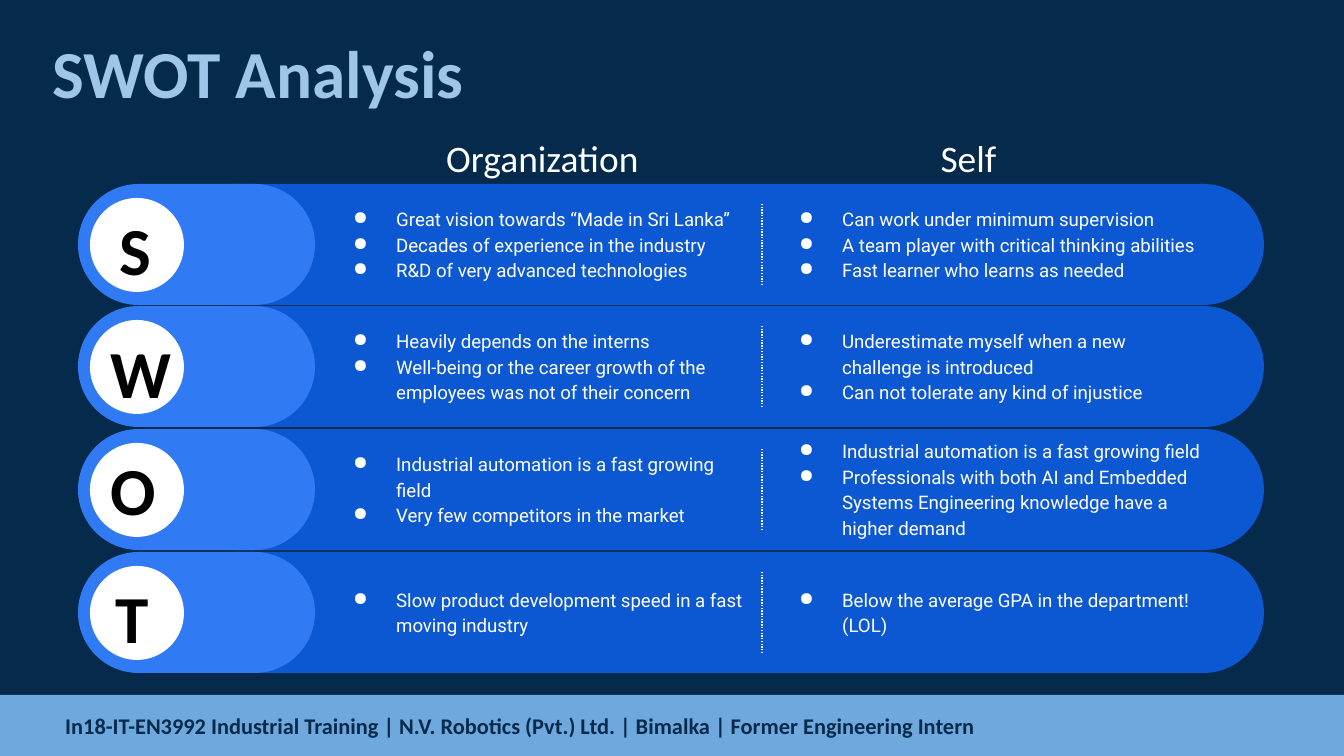
from dataclasses import dataclass

import pptx
import pptx.dml.color
import pptx.enum.dml
import pptx.enum.shapes
import pptx.enum.text
import pptx.oxml.ns
import pptx.util
from lxml import etree

WIDE, HIGH = 1344, 756
SCALE = 9144000 / WIDE  # EMU in one px
ROW_TOP, ROW_HIGH, PITCH = 184, 121, 122.5
SPLIT = 762  # x of the line between the two columns
KIND = pptx.enum.shapes.MSO_SHAPE
ALIGN = pptx.enum.text.PP_ALIGN
ANCHOR = pptx.enum.text.MSO_ANCHOR


@dataclass
class Box:
    left: int
    top: int
    wide: int
    high: int

    def emu(self) -> list[int]:
        return [px(n) for n in (self.left, self.top, self.wide, self.high)]


@dataclass
class Row:
    mark: str
    spot: Box  # place of the letter
    firm: list[str]
    own: list[str]
    wide: int  # width of the right column


ROWS = [
    Row("S", Box(106, 195, 66, 98),
        ["Great vision towards “Made in Sri Lanka”",
         "Decades of experience in the industry",
         "R&D of very advanced technologies"],
        ["Can work under minimum supervision",
         "A team player with critical thinking abilities",
         "Fast learner who learns as needed"], 493),
    Row("W", Box(97, 318, 86, 98),
        ["Heavily depends on the interns",
         "Well-being or the career growth of the employees was not of their concern"],
        ["Underestimate myself when a new challenge is introduced",
         "Can not tolerate any kind of injustice"], 449),
    Row("O", Box(97, 435, 86, 98),
        ["Industrial automation is a fast growing field",
         "Very few competitors in the market"],
        ["Industrial automation is a fast growing field",
         "Professionals with both AI and Embedded Systems Engineering "
         "knowledge have a higher demand"], 465),
    Row("T", Box(102, 563, 75, 94),
        ["Slow product development speed in a fast moving industry"],
        ["Below the average GPA in the department! (LOL)"], 449),
]


def px(n: float) -> int:
    return round(n * SCALE)


def paint(code: str) -> pptx.dml.color.RGBColor:
    return pptx.dml.color.RGBColor.from_string(code)


def add_shape(shapes, kind, box: Box, fill: str):
    shape = shapes.add_shape(kind, *box.emu())
    shape.shadow.inherit = False
    shape.fill.solid()
    shape.fill.fore_color.rgb = paint(fill)
    shape.line.fill.background()
    return shape


def add_pill(shapes, box: Box, fill: str) -> None:
    add_shape(shapes, KIND.ROUNDED_RECTANGLE, box, fill).adjustments[0] = 0.5


def add_bullet(para, color: str) -> None:
    props = para._p.get_or_add_pPr()
    props.set("marL", str(px(67)))
    props.set("indent", str(px(-43)))
    tint = etree.SubElement(props, pptx.oxml.ns.qn("a:buClr"))
    etree.SubElement(tint, pptx.oxml.ns.qn("a:srgbClr"), val=color)
    etree.SubElement(props, pptx.oxml.ns.qn("a:buChar"), char="●")


def add_text(shapes, box: Box, lines: list[str], *, size: int, color: str,
             font: str = "Calibri", bold: bool = False, inset: float = 0.1,
             align=ALIGN.LEFT, anchor=ANCHOR.TOP, bullet: bool = False) -> None:
    frame = shapes.add_textbox(*box.emu()).text_frame
    frame.word_wrap = True
    frame.vertical_anchor = anchor
    frame.margin_left = frame.margin_right = pptx.util.Inches(inset)
    frame.margin_top = frame.margin_bottom = pptx.util.Inches(inset)
    for i, line in enumerate(lines):
        para = frame.add_paragraph() if i else frame.paragraphs[0]
        para.alignment = align
        if bullet:
            para.line_spacing = 1.15
            add_bullet(para, color)
        run = para.add_run()
        run.text = line
        run.font.size = pptx.util.Pt(size)
        run.font.name = font
        run.font.bold = bold
        run.font.color.rgb = paint(color)


def add_rule(shapes, x: int, top: int, end: int) -> None:
    rule = shapes.add_connector(pptx.enum.shapes.MSO_CONNECTOR.STRAIGHT,
                                px(x), px(top), px(x), px(end))
    rule.line.color.rgb = paint("FFFFFF")
    rule.line.width = pptx.util.Pt(0.75)
    rule.line.dash_style = pptx.enum.dml.MSO_LINE.ROUND_DOT
    etree.SubElement(rule._element.spPr, pptx.oxml.ns.qn("a:effectLst"))


def add_row(shapes, row: Row, top: int) -> None:
    group = shapes.add_group_shape().shapes
    add_pill(group, Box(176, top, 1088, ROW_HIGH), "0C58D3")
    for left, wide, lines in ((SPLIT, row.wide, row.own), (316, 446, row.firm)):
        add_text(group, Box(left, top, wide, 118), lines, size=10, color="FFFFFF",
                 font="Roboto", anchor=ANCHOR.MIDDLE, bullet=True)
    add_pill(group, Box(78, top, 237, ROW_HIGH), "307BF3")
    add_shape(group, KIND.OVAL, Box(90, top + 14, 94, 94), "FFFFFF")
    add_rule(group, SPLIT, top + 20, top + 100)


def main() -> None:
    deck = pptx.Presentation()
    deck.slide_width, deck.slide_height = px(WIDE), px(HIGH)
    slide = deck.slides.add_slide(deck.slide_layouts[6])
    slide.background.fill.solid()
    slide.background.fill.fore_color.rgb = paint("052A4C")
    shapes = slide.shapes

    # Footer
    add_shape(shapes, KIND.RECTANGLE, Box(0, 695, WIDE, 61), "6FA8DC")
    add_text(shapes, Box(52, 699, 942, 54),
             ["In18-IT-EN3992 Industrial Training | N.V. Robotics (Pvt.) Ltd. | "
              "Bimalka | Former Engineering Intern"],
             size=12, color="052A4C", bold=True)

    # Title
    add_text(shapes, Box(52, 31, 1074, 94), ["SWOT Analysis"],
             size=36, color="9FC5E8", bold=True, inset=0)

    # Rows and their letters
    for i, row in enumerate(ROWS):
        add_row(shapes, row, round(ROW_TOP + i * PITCH))
        add_text(shapes, row.spot, [row.mark], size=36, color="000000", bold=True)

    # Column heads
    for left, head, align in ((433, "Organization", ALIGN.LEFT),
                              (849, "Self", ALIGN.CENTER)):
        add_text(shapes, Box(left, 122, 239, 73), [head],
                 size=20, color="FFFFFF", align=align)

    deck.save("out.pptx")


if __name__ == "__main__":
    main()
